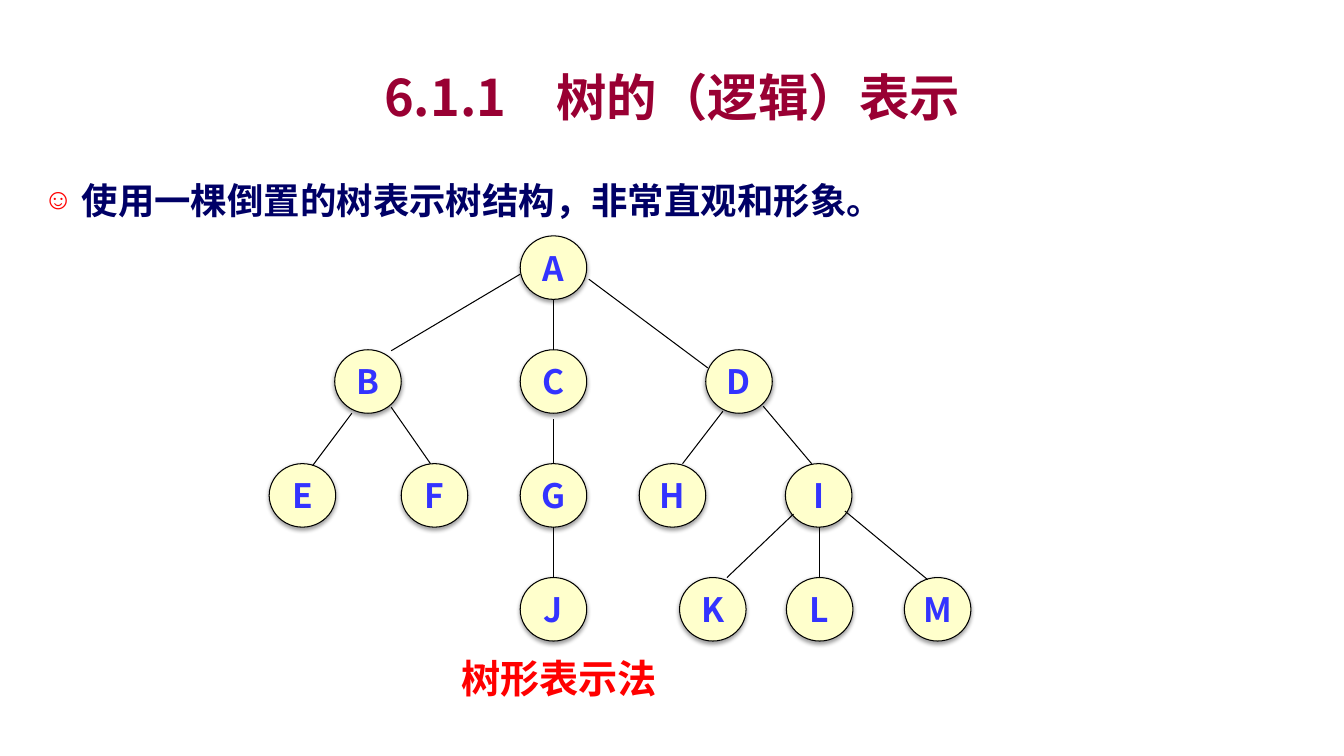
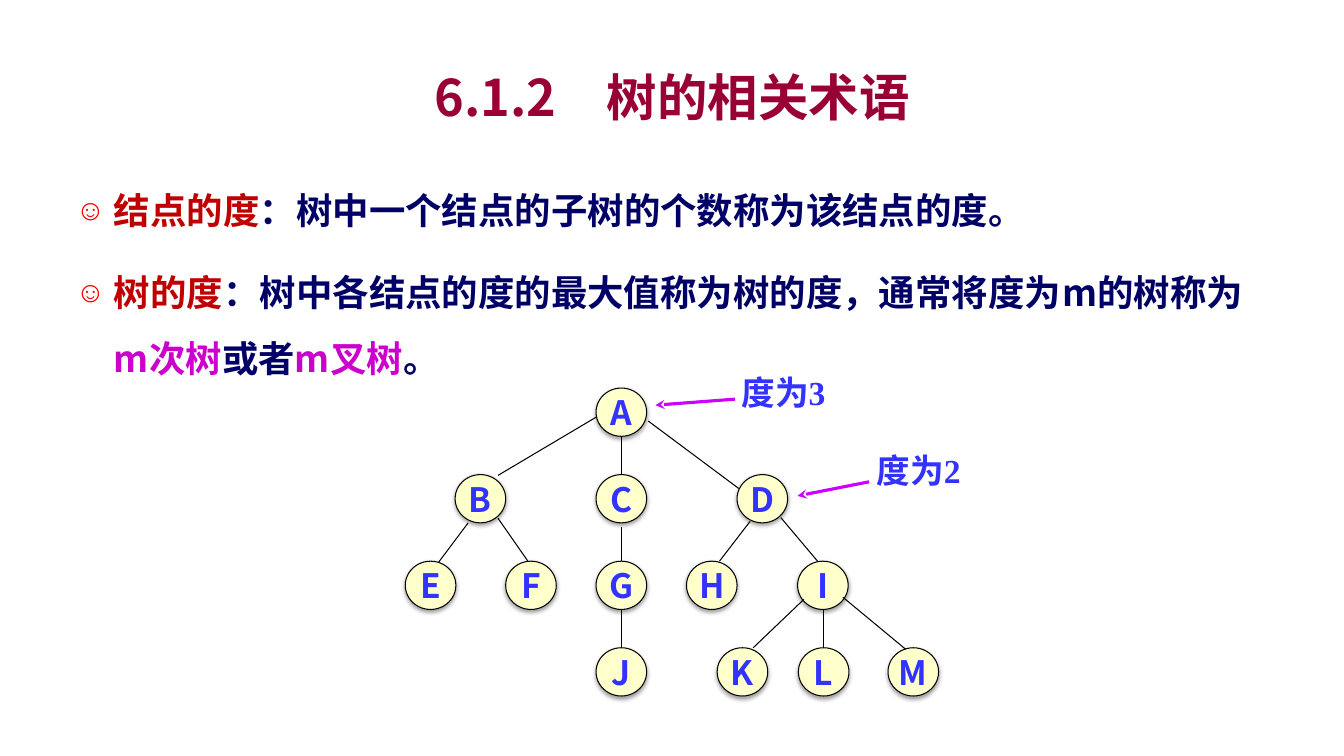
"""Build two slides on drawing trees and on the degree of nodes."""
from dataclasses import dataclass
from typing import NamedTuple

from lxml.etree import SubElement as Sub
from pptx import Presentation
from pptx.dml.color import RGBColor as Rgb
from pptx.enum.shapes import MSO_CONNECTOR as Wire, MSO_SHAPE as Form
from pptx.enum.text import MSO_ANCHOR as Anchor, MSO_AUTO_SIZE as Fit, PP_ALIGN as Align
from pptx.oxml.ns import qn
from pptx.util import Inches, Pt


@dataclass(frozen=True)
class Theme:
    sans: str = "Noto Sans CJK SC"
    serif: str = "Times New Roman"
    title: str = "990033"
    body: str = "000066"
    term: str = "C00000"
    alias: str = "CC00CC"
    red: str = "FF0000"
    blue: str = "3333FF"
    cream: str = "FFFFCC"
    black: str = "000000"
    arrow: str = "CC00FF"
    head: int = 36
    cap: int = 28
    text: int = 26
    label: int = 24


class Box(NamedTuple):
    left: float
    top: float
    width: float
    height: float


class Point(NamedTuple):
    x: float
    y: float


class Node(NamedTuple):
    name: str
    x: float
    row: int
    root: str = ""
    start: Point = Point(0.33, 0.63)
    end: Point = Point(0.33, 0)


class Note(NamedTuple):
    text: str
    box: Box
    start: Point
    end: Point


Part = tuple[str, str]

T = Theme()
WIDE, HIGH, STEP = 0.66, 0.63, 1.13
NODES = (
    Node("A", 2.49, 0),
    Node("B", 0.65, 1, "A", Point(0, 0.38), Point(0.56, 0.01)),
    Node("C", 2.49, 1, "A"),
    Node("D", 4.33, 1, "A", Point(0.68, 0.43), Point(0.02, 0.18)),
    Node("E", 0, 2, "B", Point(0.17, 0.63), Point(0.43, 0.02)),
    Node("F", 1.31, 2, "B", Point(0.56, 0.57), Point(0.29, 0)),
    Node("G", 2.49, 2, "C", Point(0.33, 0.69)),
    Node("H", 3.67, 2, "D", Point(0.17, 0.61), Point(0.43, 0)),
    Node("I", 5.12, 2, "D", Point(0.57, 0.56), Point(0.26, 0)),
    Node("J", 2.49, 3, "G"),
    Node("K", 4.07, 3, "I", Point(0.08, 0.5), Point(0.47, 0)),
    Node("L", 5.13, 3, "I", Point(0.34, 0.63)),
    Node("M", 6.3, 3, "I", Point(0.59, 0.47), Point(0.23, 0.02)),
)
NOTES = (
    Note("度为3", Box(7.18, 3.64, 1.18, 0.5), Point(7.29, 3.96), Point(6.5, 4.02)),
    Note("度为2", Box(8.52, 4.41, 1.18, 0.5), Point(8.62, 4.78), Point(7.91, 4.92)),
)


def mark(para) -> None:
    props = para._p.get_or_add_pPr()
    props.set("marL", str(Inches(0.38)))
    props.set("indent", str(-Inches(0.38)))
    Sub(Sub(props, qn("a:buClr")), qn("a:srgbClr"), val=T.red)
    Sub(props, qn("a:buSzPct"), val="80000")
    Sub(props, qn("a:buChar"), char="☺")


def write(frame, *paras: str | list[Part], size: int, color: str = T.body,
          font: str = T.sans, align=Align.CENTER, bullet: bool = False,
          wrap: bool = True, anchor=Anchor.TOP) -> None:
    frame.auto_size, frame.word_wrap = Fit.NONE, wrap
    frame.vertical_anchor = anchor
    for i, parts in enumerate(paras):
        para = frame.add_paragraph() if i else frame.paragraphs[0]
        para.alignment = align
        para.space_before = Pt(6 if i else 0)
        if bullet:
            mark(para)
            para.line_spacing, para.space_after = 1.5, Pt(6)
        for text, tint in [(parts, color)] if isinstance(parts, str) else parts:
            run = para.add_run()
            run.text = text
            run.font.size, run.font.bold, run.font.name = Pt(size), True, font
            run.font.color.rgb = Rgb.from_string(tint)
            Sub(run.font._element, qn("a:ea"), typeface=T.sans)


def place(shape, box: Box) -> None:
    shape.left, shape.top, shape.width, shape.height = map(Inches, box)


def label(slide, text: str, box: Box, **style) -> None:
    write(slide.shapes.add_textbox(*map(Inches, box)).text_frame, text, **style)


def line(slide, start: Point, end: Point, color: str = T.black,
         width: float = 0.75, arrow: bool = False) -> None:
    wire = slide.shapes.add_connector(Wire.STRAIGHT, *map(Inches, start + end))
    wire.line.color.rgb = Rgb.from_string(color)
    wire.line.width = Pt(width)
    props = wire.element.spPr
    if arrow:
        Sub(props.find(qn("a:ln")), qn("a:tailEnd"), type="stealth")
    Sub(props, qn("a:effectLst"))


def disc(slide, name: str, box: Box) -> None:
    shape = slide.shapes.add_shape(Form.OVAL, *map(Inches, box))
    shape.fill.solid()
    shape.fill.fore_color.rgb = Rgb.from_string(T.cream)
    shape.line.color.rgb = Rgb.from_string(T.black)
    shape.line.width = Pt(0.75)
    shape.shadow.inherit = False
    glow = Sub(shape.element.spPr.find(qn("a:effectLst")), qn("a:outerShdw"),
               blurRad=str(Pt(3.1)), dist=str(Pt(1.6)), dir="5400000", rotWithShape="0")
    Sub(Sub(glow, qn("a:srgbClr"), val=T.black), qn("a:alpha"), val="38000")
    write(shape.text_frame, name, size=T.label, color=T.blue,
          wrap=False, anchor=Anchor.MIDDLE)


def tree(slide, left: float, top: float, scale: float = 1) -> None:
    spots = {n.name: Point(n.x, n.row * STEP) for n in NODES}

    def fix(spot: Point, shift: Point = Point(0, 0)) -> Point:
        return Point(left + (spot.x + shift.x) * scale, top + (spot.y + shift.y) * scale)

    for node in NODES:
        disc(slide, node.name, Box(*fix(spots[node.name]), WIDE * scale, HIGH * scale))
    for node in NODES:
        if node.root:
            line(slide, fix(spots[node.root], node.start), fix(spots[node.name], node.end))


def page(deck, title: str, box: Box, *items: str | list[Part]):
    slide = deck.slides.add_slide(deck.slide_layouts[1])
    head, body = slide.placeholders
    place(head, Box(1, 0.58, 11.33, 0.75))
    write(head.text_frame, title, size=T.head, color=T.title, anchor=Anchor.MIDDLE)
    place(body, box)
    write(body.text_frame, *items, size=T.text, align=Align.LEFT, bullet=True)
    return slide


def main() -> None:
    deck = Presentation()
    deck.slide_width, deck.slide_height = Inches(13.33), Inches(7.5)

    slide = page(deck, "6.1.1　树的（逻辑）表示", Box(0.33, 1.5, 12.67, 1),
                 "使用一棵倒置的树表示树结构，非常直观和形象。")
    tree(slide, 2.67, 2.34)
    label(slide, "树形表示法", Box(4.01, 6.44, 3.07, 0.57), size=T.cap, color=T.red)

    slide = page(
        deck, "6.1.2　树的相关术语", Box(0.65, 1.6, 12.01, 2.15),
        [("结点的度", T.term), ("：树中一个结点的子树的个数称为该结点的度。", T.body)],
        [("树的度", T.term),
         ("：树中各结点的度的最大值称为树的度，通常将度为m的树称为", T.body),
         ("m次树", T.alias), ("或者", T.body), ("m叉树", T.alias), ("。", T.body)])
    tree(slide, 4.02, 3.85, 0.76)
    for note in NOTES:
        label(slide, note.text, note.box, size=T.label, color=T.blue, font=T.serif)
        line(slide, note.start, note.end, T.arrow, 2.25, arrow=True)

    deck.save("out.pptx")


if __name__ == "__main__":
    main()
